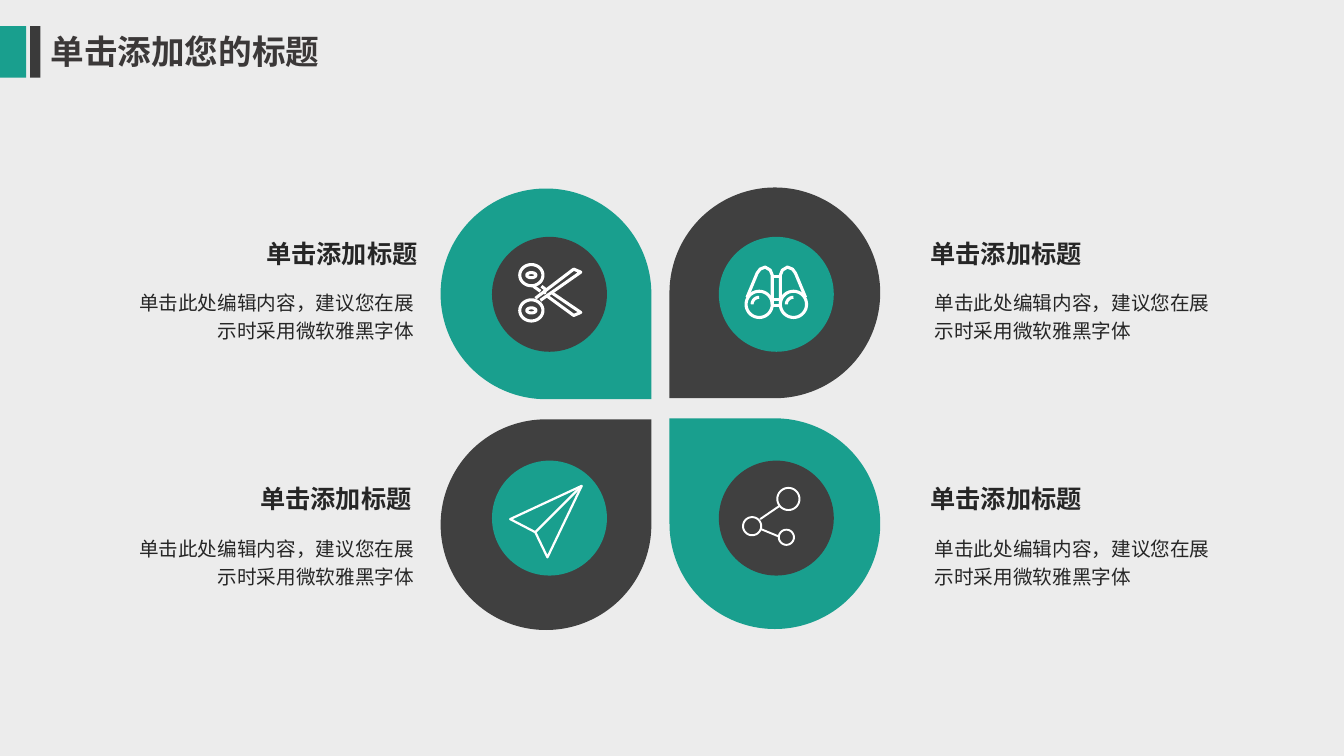
from math import cos, radians, sin

from lxml import etree
from pptx import Presentation
from pptx.dml.color import RGBColor
from pptx.enum.shapes import MSO_SHAPE
from pptx.enum.text import MSO_ANCHOR, MSO_AUTO_SIZE, PP_ALIGN
from pptx.oxml.ns import qn
from pptx.util import Pt

PX = 9144
FONT = "Noto Sans CJK SC"
RECT, DROP, OVAL = MSO_SHAPE.RECTANGLE, MSO_SHAPE.TEAR, MSO_SHAPE.OVAL
LEFT, RIGHT, EVEN = PP_ALIGN.LEFT, PP_ALIGN.RIGHT, PP_ALIGN.JUSTIFY
TOP = MSO_ANCHOR.TOP
GROW, FIXED = MSO_AUTO_SIZE.SHAPE_TO_FIT_TEXT, MSO_AUTO_SIZE.NONE
COLORS = {
    "back": "ECECEC", "teal": "199F8E", "dark": "404040", "bar": "3A3A3A",
    "title": "3B3838", "text": "262626", "icon": "FFFFFF",
}
HEAD = "单击添加标题"
BODY = "单击此处编辑内容，建议您在展示时采用微软雅黑字体"


def write(text, box, at, size, color="text", bold=False, align=LEFT,
          inset=None, space=None, after=0, fit=GROW):
    box.left, box.top, box.width, box.height = [n * PX for n in at]
    frame = box.text_frame
    frame.word_wrap = True
    frame.auto_size = fit
    frame.vertical_anchor = TOP
    if inset is not None:
        frame.margin_left = frame.margin_right = inset
        frame.margin_top = frame.margin_bottom = inset
    par = frame.paragraphs[0]
    par.alignment = align
    par.line_spacing = space
    par.space_after = Pt(after)
    run = par.add_run()
    run.text = text
    run.font.name = FONT
    run.font.size = Pt(size)
    run.font.bold = bold
    run.font.color.rgb = RGBColor.from_string(COLORS[color])
    east = etree.SubElement(run.font._element, qn("a:ea"))
    east.set("typeface", FONT)


def ring(x, y, wide, high, start=0, end=360):
    return [(x + wide * cos(radians(a)), y + high * sin(radians(a)))
            for a in range(start, end + 1, 10)]


deck = Presentation()
deck.slide_width, deck.slide_height = 1333 * PX, 750 * PX
slide = deck.slides.add_slide(deck.slide_layouts[5])
slide.background.fill.solid()
slide.background.fill.fore_color.rgb = RGBColor.from_string(COLORS["back"])
shapes = slide.shapes

plates = [
    (RECT, 0, 26, 26, 51, 0, "teal"),
    (RECT, 30, 26, 10, 51, 0, "bar"),
    (DROP, 437, 187, 209, 209, 90, "teal"),
    (DROP, 664, 186, 209, 209, 180, "dark"),
    (DROP, 437, 416, 209, 209, 0, "dark"),
    (DROP, 664, 415, 209, 209, 270, "teal"),
    (OVAL, 488, 235, 114, 114, 0, "dark"),
    (OVAL, 713, 235, 114, 114, 0, "teal"),
    (OVAL, 488, 457, 114, 114, 0, "teal"),
    (OVAL, 713, 457, 114, 114, 0, "dark"),
]
for kind, x, y, wide, high, turn, color in plates:
    plate = shapes.add_shape(kind, x * PX, y * PX, wide * PX, high * PX)
    plate.rotation = turn
    plate.shadow.inherit = False
    plate.fill.solid()
    plate.fill.fore_color.rgb = RGBColor.from_string(COLORS[color])
    plate.line.fill.background()

write("单击添加您的标题", shapes.title, (40, 26, 299, 50), 24,
      color="title", bold=True, align=EVEN, fit=FIXED)

heads = [
    (213, 232, 211, 121, RIGHT),
    (192, 475, 226, 121, RIGHT),
    (913, 232, 185, 927, LEFT),
    (913, 475, 202, 927, LEFT),
]
for x, y, wide, edge, align in heads:
    write(HEAD, shapes.add_textbox(0, 0, 0, 0), (x, y, wide, 40), 18,
          bold=True, align=align)
    low = 284 if y == 232 else 528
    write(BODY, shapes.add_textbox(0, 0, 0, 0), (edge, low, 290, 55), 14,
          align=align, inset=0, space=1.2, after=6, fit=FIXED)

scope = [[(766, 274), (774, 274)], [(766, 297), (774, 297)],
         [(766, 303), (774, 303)]]
tube = [(741, 295), (751, 271), (754, 267), (759, 265), (764, 268),
        (766, 273), (766, 302)]
scope += [tube, [(1540 - x, y) for x, y in tube]]
for x in (753, 787):
    scope += [ring(x, 302, 13, 13), ring(x, 302, 7, 7, 180, 270)]

shears = [
    [(531, 296), (569, 267), (576, 270), (536, 298)],
    [(543, 294), (569, 313), (576, 310), (548, 291)],
    [(529, 284), (536, 289)],
    [(537, 284), (541, 287)],
    ring(540, 290, 0.5, 0.5),
]
for y in (273, 308):
    shears += [ring(527, y, 11.5, 10.5), ring(527, y, 4.5, 2.5)]

plane = [[(506, 515), (577, 482), (543, 553), (531, 528), (506, 515)],
         [(531, 528), (577, 482)]]
share = [ring(782, 495, 11, 11), ring(746, 522, 9, 9),
         ring(780, 533, 7.5, 7.5), [(773, 502), (754, 515)],
         [(755, 525), (772, 532)]]

for icon, weight in ((scope, 2.2), (shears, 2.2), (plane, 1.6), (share, 1.4)):
    pen = shapes.build_freeform(*[round(n * PX) for n in icon[0][0]], scale=1)
    for trace in icon:
        spots = [(round(x * PX), round(y * PX)) for x, y in trace]
        pen.move_to(*spots[0])
        pen.add_line_segments(spots[1:], close=False)
    mark = pen.convert_to_shape()
    mark.shadow.inherit = False
    mark.fill.background()
    mark.line.width = Pt(weight)
    mark.line.color.rgb = RGBColor.from_string(COLORS["icon"])

deck.save("out.pptx")
